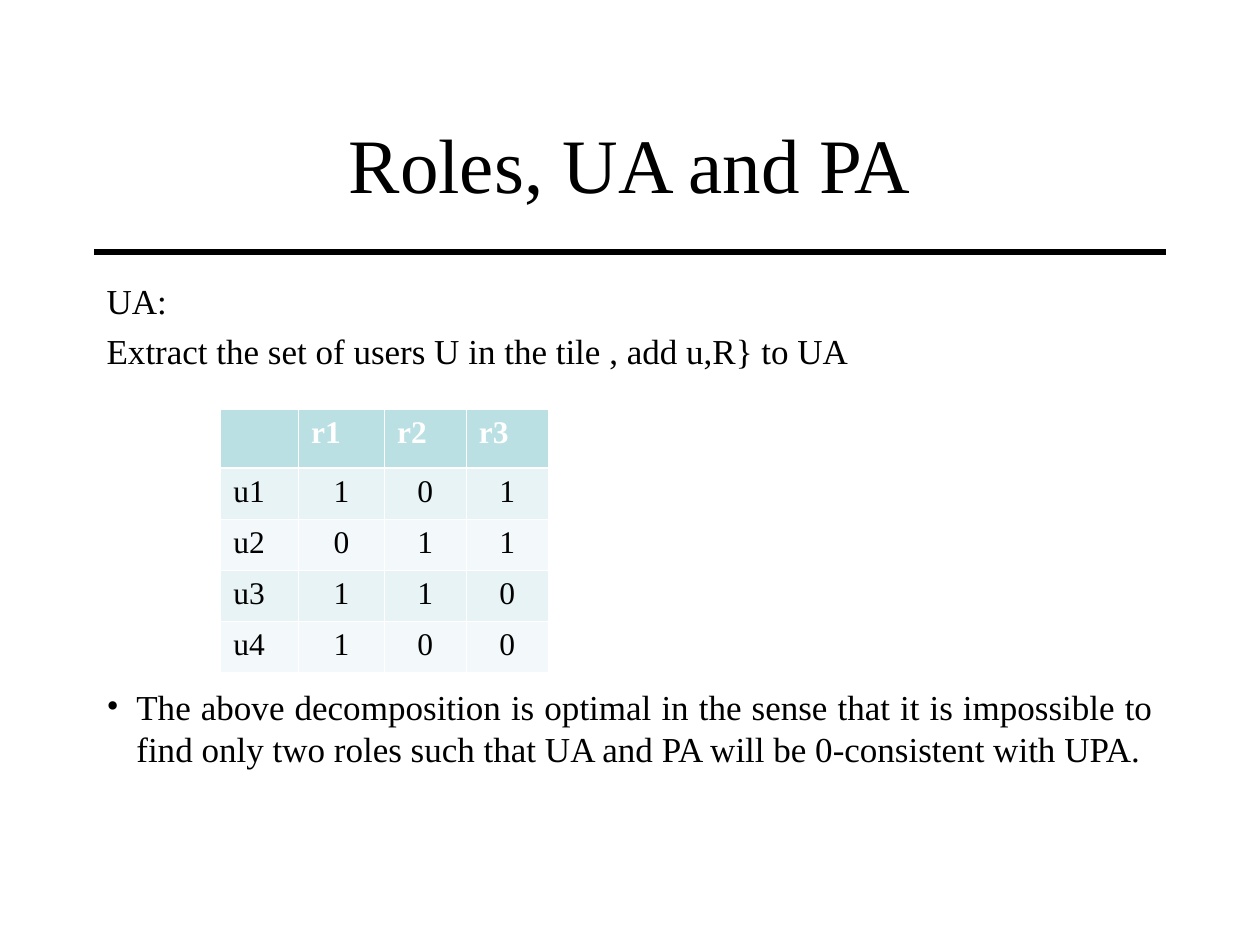
import pptx
import pptx.dml.color
import pptx.enum.shapes
import pptx.enum.text
import pptx.oxml.ns
import pptx.util
from lxml import etree

Cm, Pt = pptx.util.Cm, pptx.util.Pt
ALIGN = pptx.enum.text.PP_ALIGN
FONT = "Times New Roman"
LEFT, WIDTH = 1.9, 21.6
ROLES = [
    ["", "r1", "r2", "r3"],
    ["u1", "1", "0", "1"],
    ["u2", "0", "1", "1"],
    ["u3", "1", "1", "0"],
    ["u4", "1", "0", "0"],
]


def color(value):
    return pptx.dml.color.RGBColor.from_string(value)


def sub(parent, tag, **attrs):
    return etree.SubElement(parent, pptx.oxml.ns.qn(tag), **attrs)


def add_run(p, text, size, fill="000000", bold=False):
    r = p.add_run()
    r.text = text
    r.font.name = FONT
    r.font.size = Pt(size)
    r.font.bold = bold
    r.font.color.rgb = color(fill)


def add_box(s, top, height, anchor):
    sp = s.shapes.add_textbox(Cm(LEFT), Cm(top), Cm(WIDTH), Cm(height))
    tf = sp.text_frame
    tf.word_wrap = True
    tf.vertical_anchor = anchor
    return tf


def add_title(s, text):
    tf = add_box(s, 1.7, 3.18, pptx.enum.text.MSO_ANCHOR.MIDDLE)
    p = tf.paragraphs[0]
    p.alignment = ALIGN.CENTER
    add_run(p, text, 44)


def add_rule(s, y):
    line = s.shapes.add_connector(
        pptx.enum.shapes.MSO_CONNECTOR.STRAIGHT,
        Cm(LEFT), Cm(y), Cm(LEFT + WIDTH), Cm(y))
    line.line.color.rgb = color("000000")
    line.line.width = Pt(3)
    sub(line.element.spPr, "a:effectLst")


def set_bullet(p):
    pPr = p._p.get_or_add_pPr()
    indent = Cm(0.6)
    pPr.set("marL", str(indent))
    pPr.set("indent", str(-indent))
    sub(pPr, "a:buFont", typeface=FONT)
    sub(pPr, "a:buChar", char="•")


def add_body(s, items):
    tf = add_box(s, 5.5, 12.7, pptx.enum.text.MSO_ANCHOR.TOP)
    for i, (text, before, bulleted) in enumerate(items):
        p = tf.add_paragraph() if i else tf.paragraphs[0]
        p.alignment = ALIGN.JUSTIFY
        p.line_spacing = Pt(24)
        p.space_before = Pt(before)
        if bulleted:
            set_bullet(p)
        add_run(p, text, 20)


def set_border(cell, side, width):
    ln = sub(cell._tc.get_or_add_tcPr(), f"a:ln{side}", w=str(Pt(width)))
    sub(sub(ln, "a:solidFill"), "a:srgbClr", val="FFFFFF")


def style_cell(cell, row, fill):
    thick_sides = {0: "B", 1: "T"}
    for side in "LRTB":
        set_border(cell, side, 1.5 if thick_sides.get(row) == side else 0.45)
    cell.fill.solid()
    cell.fill.fore_color.rgb = color(fill)


def add_roles_table(s):
    widths = [1.57, 1.73, 1.65, 1.65]
    heights = [1.18] + [1.03] * 4
    table = s.shapes.add_table(
        len(heights), len(widths), Cm(4.45), Cm(8.25),
        Cm(sum(widths)), Cm(sum(heights))).table
    table.horz_banding = False
    for col, width in zip(table.columns, widths):
        col.width = Cm(width)
    for i, values in enumerate(ROLES):
        table.rows[i].height = Cm(heights[i])
        header = i == 0
        fill = "BBE0E3" if header else ("E7F3F4" if i % 2 else "F3F9FA")
        for j, value in enumerate(values):
            cell = table.cell(i, j)
            style_cell(cell, i, fill)
            if value:
                p = cell.text_frame.paragraphs[0]
                p.alignment = ALIGN.LEFT if header or j == 0 else ALIGN.CENTER
                add_run(p, value, 18, "FFFFFF" if header else "000000", header)


def main():
    """Build the slide on roles and the user assignment matrix."""
    prs = pptx.Presentation()
    prs.slide_width, prs.slide_height = Cm(25.4), Cm(19.05)
    s = prs.slides.add_slide(prs.slide_layouts[6])
    add_rule(s, 5.08)
    add_title(s, "Roles, UA and PA")
    add_body(s, [
        ("UA:", 1, False),
        ("Extract the set of users U in the tile , add u,R} to UA", 5, False),
        ("The above decomposition is optimal in the sense that it is impossible "
         "to find only two roles such that UA and PA will be 0-consistent with "
         "UPA.", 179, True),
    ])
    add_roles_table(s)
    prs.save("out.pptx")


if __name__ == "__main__":
    main()
